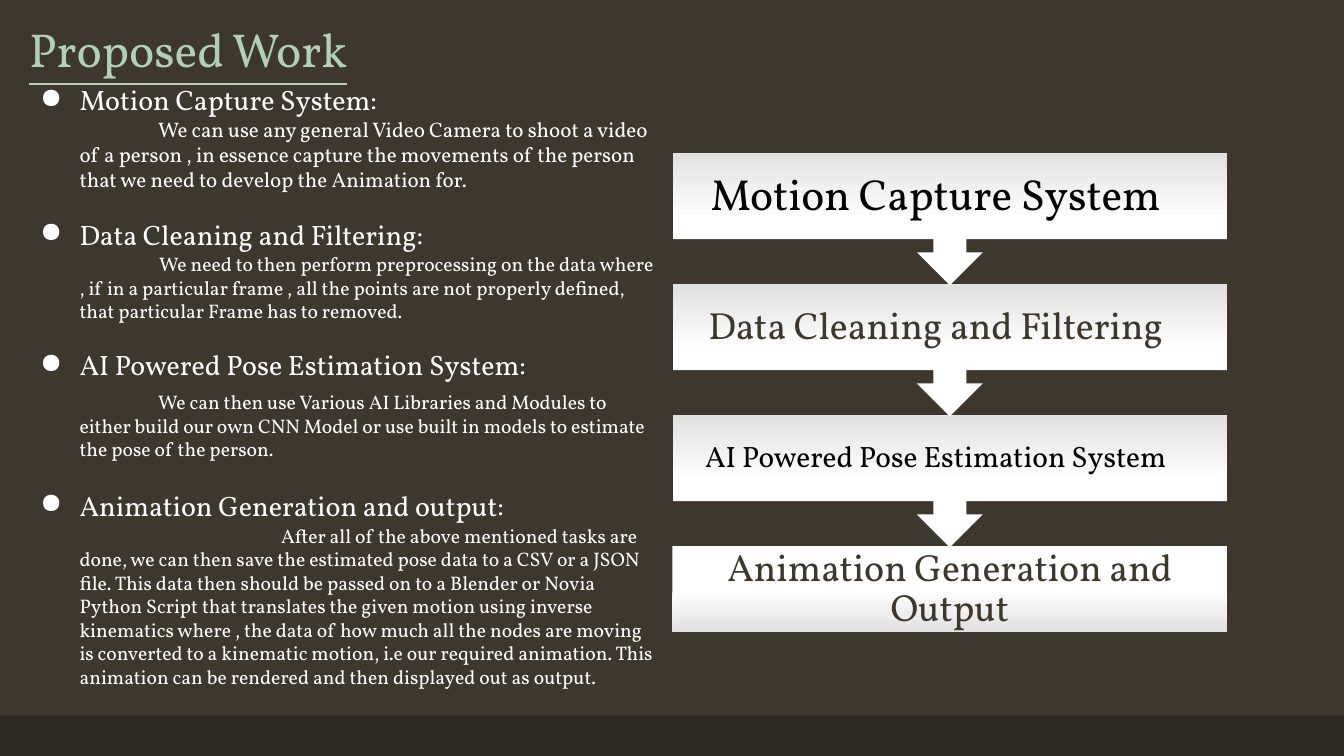
from lxml import etree
from pptx import Presentation
from pptx.dml.color import RGBColor
from pptx.enum.shapes import MSO_SHAPE
from pptx.enum.text import MSO_ANCHOR, PP_ALIGN
from pptx.oxml.ns import qn
from pptx.util import Inches, Pt

RECT, CALL = MSO_SHAPE.RECTANGLE, MSO_SHAPE.UP_ARROW_CALLOUT
TOP, MID, LOW = MSO_ANCHOR.TOP, MSO_ANCHOR.MIDDLE, MSO_ANCHOR.BOTTOM
LEFT, MIDST = PP_ALIGN.LEFT, PP_ALIGN.CENTER

FONT = "Vollkorn"
HEX = {"back": "3D372E", "foot": "2D2922", "title": "B2D0B4",
       "white": "FFFFFF", "grey": "E1E1E1", "black": "000000"}

# Heading, space before it, body, body size, first-line indent, space before body
TOPICS = [
    ("Motion Capture System:", 0,
     "We can use any general Video Camera to shoot a video of a person , in "
     "essence capture the movements of the person that we need to develop "
     "the Animation for.", 15, 0.78, 0),
    ("Data Cleaning and Filtering:", 18,
     "We need to then perform preprocessing on the data where , if in a "
     "particular frame , all the points are not properly defined, that "
     "particular Frame has to removed.", 14, 0.79, 1),
    ("AI Powered Pose Estimation System:", 18,
     "We can then use Various AI Libraries and Modules to either build our "
     "own CNN Model or use built in models to estimate the pose of the "
     "person.", 14, 0.78, 6),
    ("Animation Generation and output:", 20,
     "After all of the above mentioned tasks are done, we can then save the "
     "estimated pose data to a CSV or a JSON file. This data then should be "
     "passed on to a Blender or Novia Python Script that translates the given "
     "motion using inverse kinematics where , the data of how much all the "
     "nodes are moving is converted to a kinematic motion, i.e our required "
     "animation. This animation can be rendered and then displayed out as "
     "output.", 14, 2, 1),
]

# Label, text size, colour
STEPS = [
    ("Motion Capture System", 31, "black"),
    ("Data Cleaning and Filtering", 27, "back"),
    ("AI Powered Pose Estimation System", 21, "black"),
    ("Animation Generation and Output", 27, "back"),
]


def rgb(name):
    return RGBColor.from_string(HEX[name])


def assign(item, values):
    for key, value in values.items():
        setattr(item, key, value)


def add_box(slide, area, anchor, pads):
    """Add a wrapping text box; pads are left, top, right, bottom."""
    frame = slide.shapes.add_textbox(*map(Inches, area)).text_frame
    left, top, right, low = map(Inches, pads)
    assign(frame, {"word_wrap": True, "vertical_anchor": anchor,
                   "margin_left": left, "margin_top": top,
                   "margin_right": right, "margin_bottom": low})
    return frame


def write(para, text, size, color, line=1.0, **form):
    para.text = text
    assign(para, {"line_spacing": line, **form})
    assign(para.font, {"name": FONT, "size": Pt(size)})
    para.font.color.rgb = rgb(color)


def indent(para, first, bullet=False):
    props = para._p.get_or_add_pPr()
    props.set("marL", str(Inches(0.5)))
    props.set("indent", str(Inches(first)))
    if bullet:
        tint = etree.SubElement(props, qn("a:buClr"))
        etree.SubElement(tint, qn("a:srgbClr"), val=HEX["white"])
        etree.SubElement(props, qn("a:buChar"), char="●")


def add_block(slide, kind, area):
    block = slide.shapes.add_shape(kind, *map(Inches, area))
    block.shadow.inherit = False
    block.line.fill.background()
    return block


def shade(block):
    block.fill.gradient()
    block.fill.gradient_angle = 270
    for stop, (place, name) in zip(block.fill.gradient_stops,
                                   [(0.5, "white"), (1, "grey")]):
        stop.position = place
        stop.color.rgb = rgb(name)


def add_topics(slide):
    frame = add_box(slide, (0.19, 0.72, 6.41, 6.56), TOP, [0.1] * 4)
    para = frame.paragraphs[0]
    for head, gap, body, size, first, lead in TOPICS:
        if gap:
            para = frame.add_paragraph()
        indent(para, -0.39, bullet=True)
        write(para, head, 20, "white", space_before=Pt(gap))
        para = frame.add_paragraph()
        indent(para, first)
        write(para, body, size, "white", space_before=Pt(lead))


def add_flow(slide):
    left, top, width, high, pitch = 6.67, 1.52, 5.5, 0.85, 1.3
    # Later steps lie behind earlier ones, so arrow tips stay on top
    for row, (text, size, color) in reversed(list(enumerate(STEPS))):
        y = top + row * pitch
        last = row == len(STEPS) - 1
        if last:
            block = add_block(slide, RECT, (left, y, width, high))
        else:
            block = add_block(slide, CALL, (left, y, width, 1.31))
            block.rotation = 180
            for spot, value in enumerate([0.25, 0.25, 0.25, 0.65]):
                block.adjustments[spot] = value
        shade(block)
        # Left labels are inset by about two spaces of their own size
        inset = 0.21 if last else 0.21 + size * 0.0054
        frame = add_box(slide, (left, y, width, high), MID,
                        (inset, 0.21, 0.21, 0.21))
        write(frame.paragraphs[0], text, size, color, 0.9,
              alignment=MIDST if last else LEFT)


def main():
    deck = Presentation()
    assign(deck, {"slide_width": Inches(13.33), "slide_height": Inches(7.5)})
    slide = deck.slides.add_slide(deck.slide_layouts[6])

    # Background and footer band
    slide.background.fill.solid()
    slide.background.fill.fore_color.rgb = rgb("back")
    band = add_block(slide, RECT, (0, 7.1, 13.33, 0.4))
    band.fill.solid()
    band.fill.fore_color.rgb = rgb("foot")

    # Title
    frame = add_box(slide, (0.19, 0.1, 4.13, 0.72), LOW, (0.1, 0.05, 0.1, 0.05))
    title = frame.paragraphs[0]
    write(title, "Proposed Work", 34, "title", 0.9)
    title.font.underline = True

    # Flow chart and topic list
    add_flow(slide)
    add_topics(slide)
    deck.save("out.pptx")


if __name__ == "__main__":
    main()
